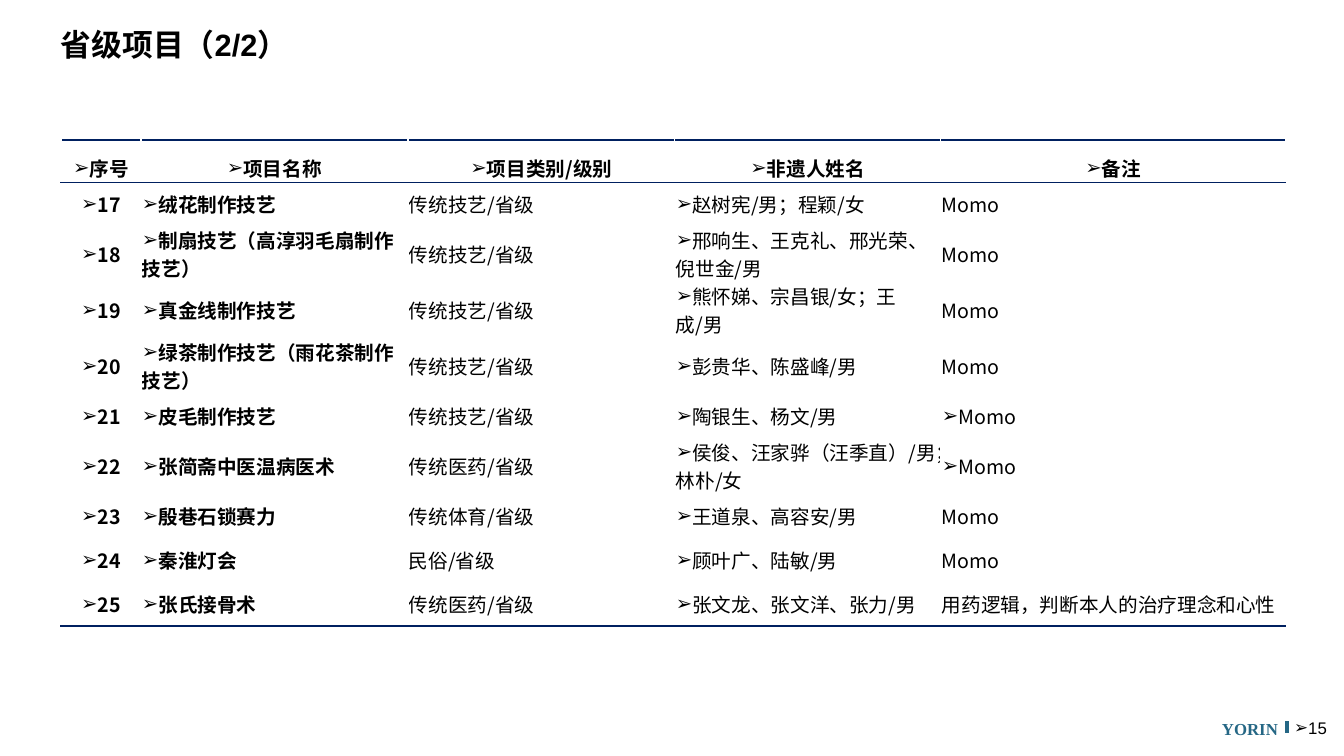
from pptx import Presentation
from pptx.dml.color import RGBColor as RGB
from pptx.enum.shapes import MSO_CONNECTOR as Line
from pptx.enum.text import MSO_ANCHOR as Anchor, MSO_AUTO_SIZE as Fit, PP_ALIGN as Align
from pptx.oxml.ns import qn
from pptx.util import Pt
from lxml.etree import SubElement as Sub

# Content
TITLE = "省级项目（2/2）"
BRAND = "YORIN"
PAGE = "15"
HEAD = ("序号", "项目名称", "项目类别/级别", "非遗人姓名", "备注")
ROWS = [
    ("17", "绒花制作技艺", "传统技艺/省级", "赵树宪/男；程颖/女", "Momo"),
    ("18", "制扇技艺（高淳羽毛扇制作技艺）", "传统技艺/省级",
     "邢响生、王克礼、邢光荣、倪世金/男", "Momo"),
    ("19", "真金线制作技艺", "传统技艺/省级", "熊怀娣、宗昌银/女；王成/男", "Momo"),
    ("20", "绿茶制作技艺（雨花茶制作技艺）", "传统技艺/省级", "彭贵华、陈盛峰/男", "Momo"),
    ("21", "皮毛制作技艺", "传统技艺/省级", "陶银生、杨文/男", "Momo"),
    ("22", "张简斋中医温病医术", "传统医药/省级", "侯俊、汪家骅（汪季直）/男；林朴/女", "Momo"),
    ("23", "殷巷石锁赛力", "传统体育/省级", "王道泉、高容安/男", "Momo"),
    ("24", "秦淮灯会", "民俗/省级", "顾叶广、陆敏/男", "Momo"),
    ("25", "张氏接骨术", "传统医药/省级", "张文龙、张文洋、张力/男",
     "用药逻辑，判断本人的治疗理念和心性"),
]
MARKED = ("21", "22")  # rows whose note has a bullet
COLS = (80, 267, 267, 266, 345)
HEAD_H, ROW_H = 37, 44

SANS, HAN, SERIF = "Arial", "Noto Sans CJK SC", "Times New Roman"
BLACK, WHITE, NAVY, TEAL = "000000", "FFFFFF", "002060", "256785"
THICK, THIN, GRID = (NAVY, 1.5), (NAVY, 0.5), (WHITE, 1)


def px(n):
    return round(n * 12192000 / 1344)


def paint(code):
    return RGB.from_string(code)


def write(par, text, size, face, color=BLACK, bold=False):
    run = par.add_run()
    run.text = text
    font = run.font
    font.size, font.name, font.bold = Pt(size), face, bold
    font.color.rgb = paint(color)
    Sub(run._r.get_or_add_rPr(), qn("a:ea")).set("typeface", HAN)


def bullet(par):
    props = par._p.get_or_add_pPr()
    props.set("marL", "0")
    props.set("indent", "0")
    Sub(props, qn("a:buFont")).set("typeface", SANS)
    Sub(props, qn("a:buChar")).set("char", "➢")


def inset(frame, x, y):
    frame.margin_left = frame.margin_right = px(x)
    frame.margin_top = frame.margin_bottom = px(y)


def border(cell, side, line):
    color, width = line
    edge = Sub(cell._tc.get_or_add_tcPr(), qn("a:ln" + side))
    edge.set("w", str(Pt(width)))
    fill = Sub(edge, qn("a:solidFill"))
    Sub(fill, qn("a:srgbClr")).set("val", color)


def textbox(x, y, w, h):
    frame = slide.shapes.add_textbox(px(x), px(y), px(w), px(h)).text_frame
    frame.word_wrap = True
    return frame


deck = Presentation()
deck.slide_width, deck.slide_height = px(1344), px(756)
slide = deck.slides.add_slide(deck.slide_layouts[5])

# Title
title = slide.shapes.title
title.left, title.top, title.width, title.height = map(px, (61, 29, 1221, 79))
frame = title.text_frame
inset(frame, 0, 0)
frame.vertical_anchor = Anchor.TOP
frame.auto_size = Fit.NONE
par = frame.paragraphs[0]
par.alignment, par.line_spacing = Align.LEFT, 0.93
write(par, TITLE, 22, SANS, bold=True)

# Table
grid = [HEAD] + ROWS
last = len(ROWS)
table = slide.shapes.add_table(
    len(grid), len(COLS), px(61), px(140), px(sum(COLS)),
    px(HEAD_H + last * ROW_H)).table
table.horz_banding = False
for c, width in enumerate(COLS):
    table.columns[c].width = px(width)
for r, row in enumerate(grid):
    table.rows[r].height = px(ROW_H if r else HEAD_H)
    top = THICK if r == 0 else THIN if r == 1 else GRID
    base = THIN if r == 0 else THICK if r == last else GRID
    for c, text in enumerate(row):
        cell = table.cell(r, c)
        inset(cell, 1, 0)
        cell.vertical_anchor = Anchor.MIDDLE
        if c > 0:
            border(cell, "L", GRID)
        if c < len(COLS) - 1:
            border(cell, "R", GRID)
        border(cell, "T", top)
        border(cell, "B", base)
        cell.fill.solid()
        cell.fill.fore_color.rgb = paint(WHITE)
        par = cell.text_frame.paragraphs[0]
        if r == 0 or c in (0, 1, 3) or (c == 4 and row[0] in MARKED):
            bullet(par)
        par.alignment = Align.CENTER if r == 0 or c == 0 else Align.LEFT
        par.line_spacing = Pt(20 if r else 30)
        write(par, text, 14, HAN, bold=r == 0 or c < 2)

# Footer name
frame = textbox(1100, 710, 182, 32)
inset(frame, 4, 5)
frame.auto_size = Fit.SHAPE_TO_FIT_TEXT
par = frame.paragraphs[0]
par.alignment, par.line_spacing = Align.RIGHT, 1.2
write(par, BRAND, 12, SERIF, TEAL, True)

# Footer rule
rule = slide.shapes.add_connector(Line.STRAIGHT, px(1287), px(733), px(1287), px(721))
rule.line.color.rgb = paint(TEAL)
rule.line.width = Pt(2.25)
Sub(rule._element.spPr, qn("a:effectLst"))

# Page number
frame = textbox(1291, 718, 39, 20)
inset(frame, 0, 0)
frame.vertical_anchor = Anchor.MIDDLE
par = frame.paragraphs[0]
bullet(par)
par.alignment = Align.CENTER
write(par, PAGE, 12, SANS)

deck.save("out.pptx")
